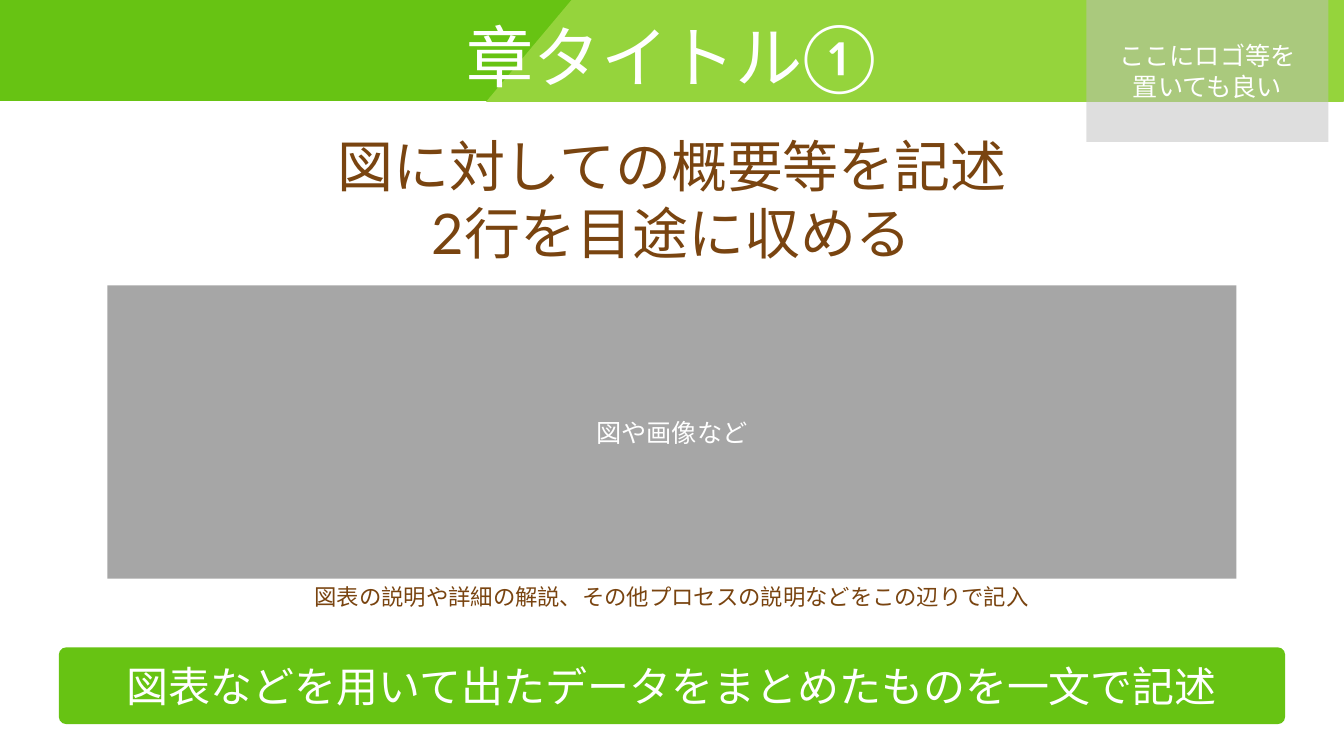
from lxml import etree
from pptx import Presentation
from pptx.dml.color import RGBColor
from pptx.enum.shapes import MSO_SHAPE as Preset
from pptx.enum.text import MSO_ANCHOR as Anchor, PP_ALIGN as Align
from pptx.oxml.ns import qn
from pptx.util import Cm, Pt

FONT = "Lato"
GREEN, LIME, BROWN = "67C313", "95D43C", "794410"
SILVER, GRAY, WHITE = "BFBFBF", "A6A6A6", "FFFFFF"
SLIDE_W, SLIDE_H = 33.87, 19.05


def rgb(value):
    return RGBColor.from_string(value)


def write(shape, lines, size, color, anchor):
    """Put centred lines into a shape, one paragraph each."""
    frame = shape.text_frame
    frame.word_wrap = True
    frame.vertical_anchor = anchor
    frame.text = "\n".join(lines)
    for paragraph in frame.paragraphs:
        paragraph.alignment = Align.CENTER
        for run in paragraph.runs:
            run.font.size = Pt(size)
            run.font.name = FONT
            run.font.color.rgb = rgb(color)
            east_asian = etree.SubElement(run.font._element, qn("a:ea"))
            east_asian.set("typeface", FONT)


def add_label(slide, box, lines, size, color):
    label = slide.shapes.add_textbox(*map(Cm, box))
    write(label, lines, size, color, Anchor.TOP)


def add_panel(slide, box, fill, preset=Preset.RECTANGLE):
    panel = slide.shapes.add_shape(preset, *map(Cm, box))
    panel.shadow.inherit = False
    panel.fill.solid()
    panel.fill.fore_color.rgb = rgb(fill)
    panel.line.fill.background()
    return panel


def set_opacity(panel, percent):
    color = panel.fill._xPr.find(qn("a:solidFill"))[0]
    etree.SubElement(color, qn("a:alpha")).set("val", str(percent * 1000))


def split_fill(panel, stops, angle):
    """Fill with a gradient of (percent, colour) stops, angle clockwise."""
    panel.fill.gradient()
    panel.fill.gradient_angle = 360 - angle
    stop_list = panel.fill._xPr.find(qn("a:gradFill")).find(qn("a:gsLst"))
    for old_stop in list(stop_list):
        stop_list.remove(old_stop)
    for percent, color in stops:
        stop = etree.SubElement(stop_list, qn("a:gs"))
        stop.set("pos", str(percent * 1000))
        etree.SubElement(stop, qn("a:srgbClr")).set("val", color)


def main():
    deck = Presentation()
    deck.slide_width, deck.slide_height = Cm(SLIDE_W), Cm(SLIDE_H)
    slide = deck.slides.add_slide(deck.slide_layouts[6])

    header = add_panel(slide, (0, 0, SLIDE_W, 2.55), GREEN)
    split_fill(header, [(0, GREEN), (40, GREEN), (40, LIME), (100, LIME)], 40)
    add_label(slide, (5.38, 0.25, 23.1, 2.31), ["章タイトル①"], 48, WHITE)
    add_label(slide, (1.5, 3.18, 30.87, 3.68),
              ["図に対しての概要等を記述", "2行を目途に収める"], 40, BROWN)

    logo_space = add_panel(slide, (27.38, 0, 6.1, 3.58), SILVER)
    set_opacity(logo_space, 50)
    write(logo_space, ["ここにロゴ等を", "置いても良い"], 18, WHITE, Anchor.MIDDLE)

    figure = add_panel(slide, (2.71, 7.19, 28.45, 7.39), GRAY)
    write(figure, ["図や画像など"], 18, WHITE, Anchor.MIDDLE)
    add_label(slide, (3.99, 14.58, 25.89, 0.94),
              ["図表の説明や詳細の解説、その他プロセスの説明などをこの辺りで記入"],
              16, BROWN)

    summary = add_panel(slide, (1.5, 16.33, 30.87, 1.9), GREEN,
                        Preset.ROUNDED_RECTANGLE)
    summary.adjustments[0] = 0.09
    summary.line.color.rgb = rgb(GREEN)
    summary.line.width = Pt(1)
    write(summary, ["図表などを用いて出たデータをまとめたものを一文で記述"],
          30, WHITE, Anchor.MIDDLE)

    deck.save("out.pptx")


if __name__ == "__main__":
    main()
